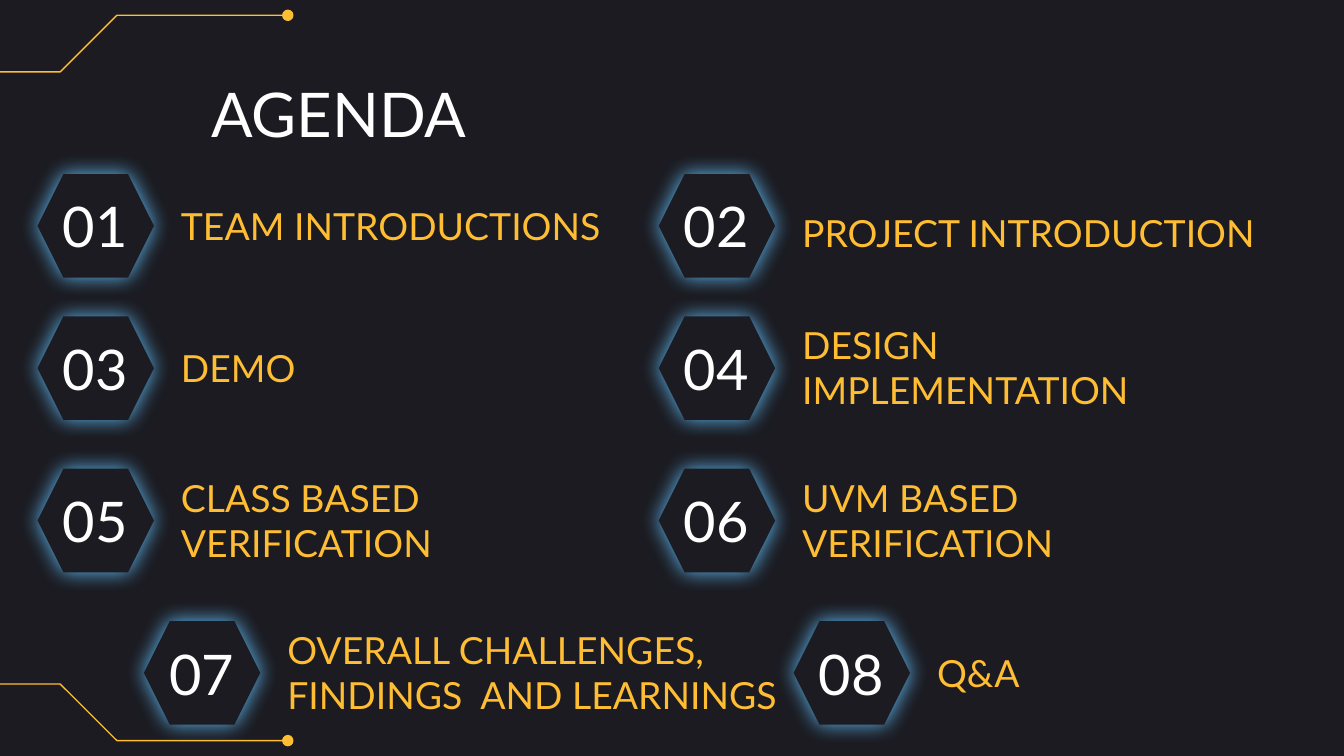
from dataclasses import dataclass

import pptx
import pptx.dml.color
import pptx.enum.shapes
import pptx.enum.text
import pptx.oxml
import pptx.oxml.ns
import pptx.util
from pptx.util import Cm

COLORS = {"background": "1B1B21", "accent": "FFBD33", "light": "FFFFFF", "glow": "60BBF5"}
FONT = "Lato"
SLIDE_WIDTH, SLIDE_HEIGHT = 25.4, 14.29
HEXAGON_SIZE = (2.2, 1.96)
NUMBER_OFFSET, NUMBER_SIZE = (0.11, 0.19), (1.96, 1.57)
LABEL_OFFSET, LABEL_HEIGHT = (2.46, 0.51), 0.91
LEFT_COLUMN, RIGHT_COLUMN = 0.71, 12.45
ROWS = (3.29, 5.98, 8.86, 11.74)
FRAME_FORMAT = {
    "word_wrap": True,
    "auto_size": pptx.enum.text.MSO_AUTO_SIZE.NONE,
    "vertical_anchor": pptx.enum.text.MSO_ANCHOR.MIDDLE,
    "margin_left": Cm(0.25),
    "margin_right": Cm(0.25),
    "margin_top": Cm(0.25),
    "margin_bottom": Cm(0.25),
}


@dataclass(frozen=True)
class AgendaItem:
    topic: str
    left: float
    top: float
    label_width: float = 8.84
    label_drop: float = 0.0


AGENDA = [
    AgendaItem("TEAM INTRODUCTIONS", LEFT_COLUMN, ROWS[0], 8.92),
    AgendaItem("PROJECT INTRODUCTION", RIGHT_COLUMN, ROWS[0], 9.4, 0.15),
    AgendaItem("DEMO", LEFT_COLUMN, ROWS[1]),
    AgendaItem("DESIGN IMPLEMENTATION", RIGHT_COLUMN, ROWS[1]),
    AgendaItem("CLASS BASED VERIFICATION", LEFT_COLUMN, ROWS[2]),
    AgendaItem("UVM BASED VERIFICATION", RIGHT_COLUMN, ROWS[2]),
    AgendaItem("OVERALL CHALLENGES, FINDINGS  AND LEARNINGS", 2.72, ROWS[3], 9.93),
    AgendaItem("Q&A", 15.0, ROWS[3], 6.02),
]


def rgb(name: str) -> pptx.dml.color.RGBColor:
    return pptx.dml.color.RGBColor.from_string(COLORS[name])


def glow_effect():
    """Build a centred, blurred shadow that reads as a glow."""
    return pptx.oxml.parse_xml(
        f'<a:effectLst {pptx.oxml.ns.nsdecls("a")}>'
        f'<a:outerShdw blurRad="{pptx.util.Pt(11.25)}" dist="0" algn="bl" rotWithShape="0">'
        f'<a:srgbClr val="{COLORS["glow"]}"/></a:outerShdw></a:effectLst>'
    )


def write_text(holder, text: str, size: int, color: str, centred: bool, glowing: bool) -> None:
    frame = holder.text_frame
    for attribute, value in FRAME_FORMAT.items():
        setattr(frame, attribute, value)
    paragraph = frame.paragraphs[0]
    align = pptx.enum.text.PP_ALIGN
    paragraph.alignment = align.CENTER if centred else align.LEFT
    run = paragraph.add_run()
    run.text = text
    for attribute, value in {"name": FONT, "size": pptx.util.Pt(size), "bold": False}.items():
        setattr(run.font, attribute, value)
    run.font.color.rgb = rgb(color)
    if glowing:
        fill = run.font._element.find(pptx.oxml.ns.qn("a:solidFill"))
        fill.addnext(glow_effect())


def draw_circuit(slide, mirrored: bool) -> None:
    """Draw the bent line and its end dot at the bottom, or mirrored at the top."""
    points = [(0, 12.93), (1.14, 12.93), (2.21, 14.0), (5.44, 14.0)]
    if mirrored:
        points = [(x, SLIDE_HEIGHT - y) for x, y in points]
    corners = [(Cm(x), Cm(y)) for x, y in points]
    builder = slide.shapes.build_freeform(*corners[0])
    builder.add_line_segments(corners[1:], close=False)
    trace = builder.convert_to_shape()
    trace.fill.background()

    diameter = 0.19
    end_x, end_y = points[-1]
    dot = slide.shapes.add_shape(
        pptx.enum.shapes.MSO_SHAPE.OVAL,
        Cm(end_x - diameter / 2), Cm(end_y - diameter / 2), Cm(diameter), Cm(diameter),
    )
    dot.fill.solid()
    dot.fill.fore_color.rgb = rgb("accent")
    for part in (trace, dot):
        part.shadow.inherit = False
        part.line.color.rgb = rgb("accent")
        part.line.width = pptx.util.Pt(0.75)


def draw_item(slide, number: int, item: AgendaItem) -> None:
    hexagon = slide.shapes.add_shape(
        pptx.enum.shapes.MSO_SHAPE.HEXAGON,
        Cm(item.left), Cm(item.top), *map(Cm, HEXAGON_SIZE),
    )
    hexagon.fill.solid()
    hexagon.fill.fore_color.rgb = rgb("background")
    hexagon.line.fill.background()
    hexagon._element.spPr.append(glow_effect())

    number_box = slide.shapes.add_textbox(
        Cm(item.left + NUMBER_OFFSET[0]), Cm(item.top + NUMBER_OFFSET[1]), *map(Cm, NUMBER_SIZE)
    )
    write_text(number_box, f"{number:02}", 30, "light", centred=True, glowing=True)

    label = slide.shapes.add_textbox(
        Cm(item.left + LABEL_OFFSET[0]), Cm(item.top + LABEL_OFFSET[1] + item.label_drop),
        Cm(item.label_width), Cm(LABEL_HEIGHT),
    )
    write_text(label, item.topic, 20, "accent", centred=False, glowing=False)


def main() -> None:
    deck = pptx.Presentation()
    deck.slide_width, deck.slide_height = Cm(SLIDE_WIDTH), Cm(SLIDE_HEIGHT)
    slide = deck.slides.add_slide(deck.slide_layouts.get_by_name("Title Only"))
    slide.background.fill.solid()
    slide.background.fill.fore_color.rgb = rgb("background")

    heading = slide.shapes.title
    position = {"left": 2.67, "top": 0.36, "width": 7.47, "height": 3.56}
    for attribute, length in position.items():
        setattr(heading, attribute, Cm(length))
    write_text(heading, "AGENDA", 33, "light", centred=True, glowing=True)

    for mirrored in (True, False):
        draw_circuit(slide, mirrored)
    for number, item in enumerate(AGENDA, start=1):
        draw_item(slide, number, item)
    deck.save("out.pptx")


if __name__ == "__main__":
    main()
